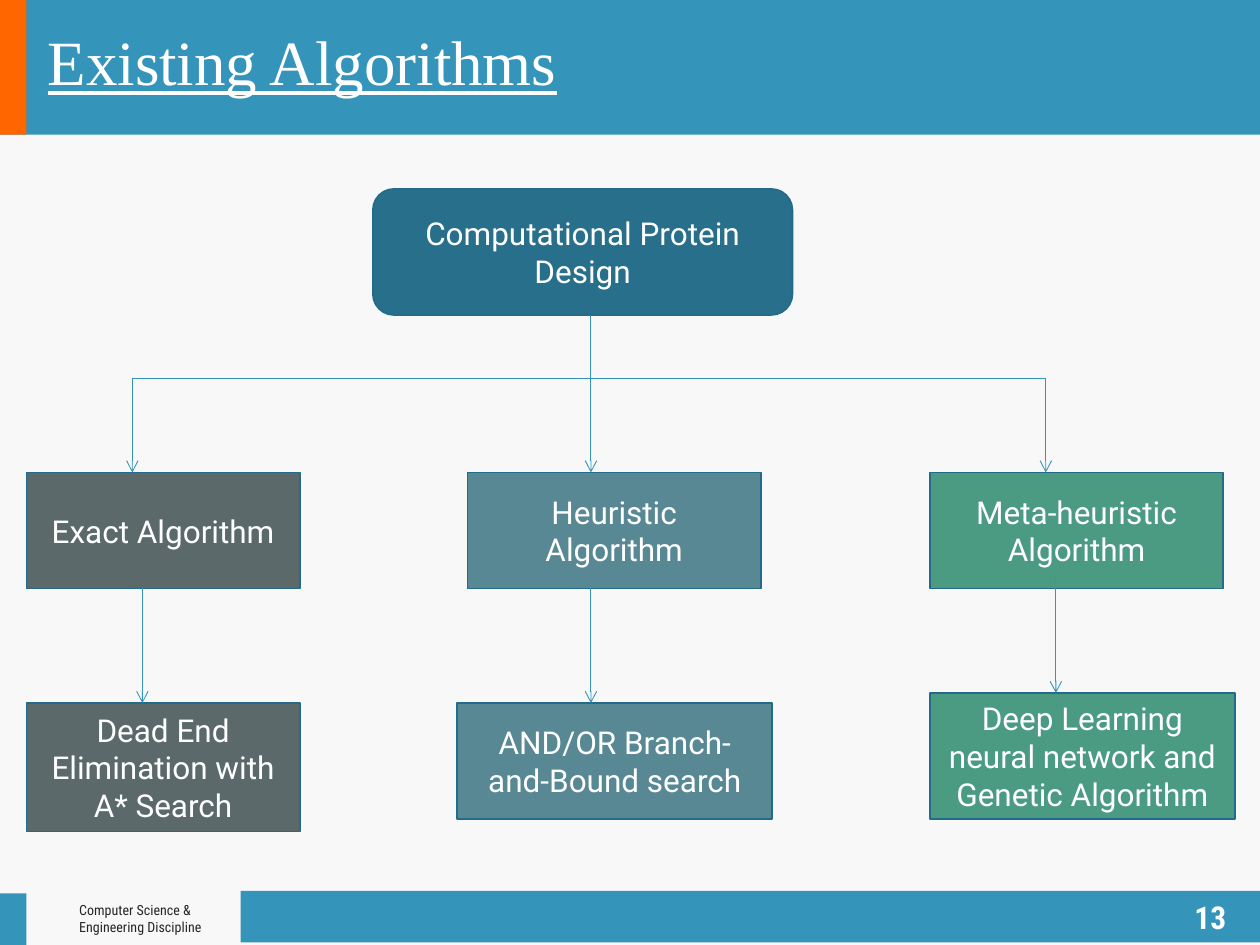
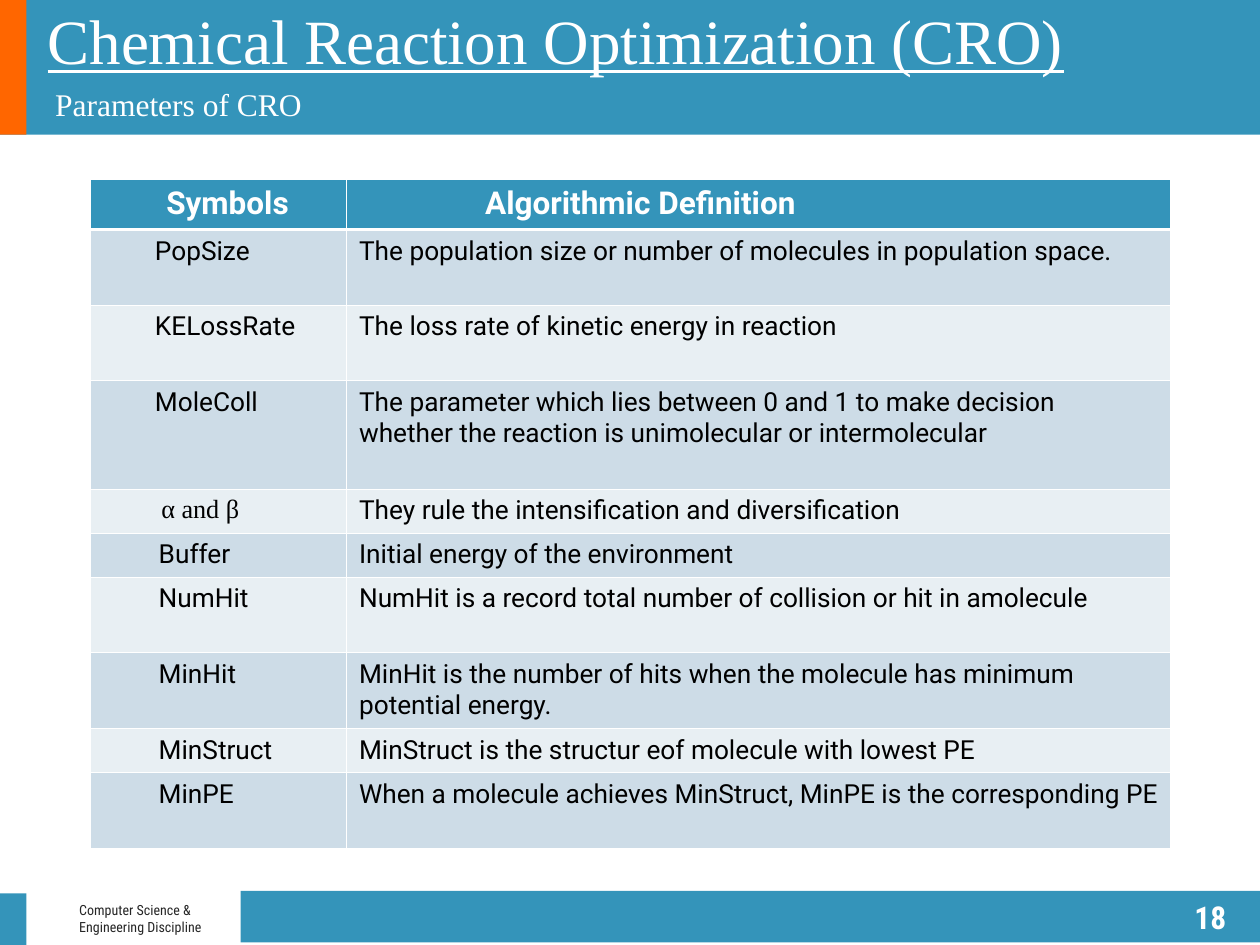
from dataclasses import dataclass

from lxml import etree
from pptx import Presentation
from pptx.dml.color import RGBColor
from pptx.enum.shapes import MSO_CONNECTOR, MSO_SHAPE
from pptx.enum.text import MSO_ANCHOR, PP_ALIGN
from pptx.oxml.ns import qn
from pptx.util import Inches, Pt


@dataclass(frozen=True)
class Theme:
    blue: str = "3494BA"
    orange: str = "FF6600"
    outline: str = "236B88"
    root: str = "276F8B"
    gray: str = "5B696B"
    slate: str = "588894"
    green: str = "4A9B82"
    row_dark: str = "CDDCE7"
    row_light: str = "E8EFF3"
    white: str = "FFFFFF"
    black: str = "000000"
    footer: str = "262626"
    body_font: str = "Roboto"
    footer_font: str = "Roboto Condensed"
    title_font: str = "Times New Roman"
    title_size: int = 36
    text_size: int = 18
    cell_size: int = 15
    footer_size: int = 8


T = Theme()


def add_run(p, text, size, font, color, bold=False, underline=False):
    r = p.add_run()
    r.text = text
    r.font.size = Pt(size)
    r.font.name = font
    r.font.bold = bold
    r.font.underline = underline
    r.font.color.rgb = RGBColor.from_string(color)


def add_box(s, place, fill=None, line=None, kind=MSO_SHAPE.RECTANGLE):
    """Add a filled shape, or a text box when no fill is given."""
    place = [Inches(v) for v in place]
    if fill:
        sp = s.shapes.add_shape(kind, *place)
        sp.shadow.inherit = False
        sp.fill.solid()
        sp.fill.fore_color.rgb = RGBColor.from_string(fill)
        if line:
            sp.line.color.rgb = RGBColor.from_string(line)
            sp.line.width = Pt(1)
        else:
            sp.line.fill.background()
    else:
        sp = s.shapes.add_textbox(*place)
    sp.text_frame.word_wrap = True
    return sp


prs = Presentation()
prs.slide_width = Inches(10)
prs.slide_height = Inches(7.5)

# Shared bands, footer, number and title
bands = [
    ((1.91, 7.07, 8.09, 0.41), T.blue),
    ((0, 7.09, 0.21, 0.41), T.blue),
    ((0, 0, 10, 1.07), T.blue),
    ((0, 0, 0.21, 1.07), T.orange),
]
pages = [
    ("13", "F8F8F8", "Existing Algorithms", (0.28, 0.2, 5.5, 0.66)),
    ("18", T.white, "Chemical Reaction Optimization (CRO)", (0.28, 0.03, 9, 0.66)),
]
slides = []
for number, background, title, title_place in pages:
    s = prs.slides.add_slide(prs.slide_layouts[6])
    s.background.fill.solid()
    s.background.fill.fore_color.rgb = RGBColor.from_string(background)
    for place, color in bands:
        add_box(s, place, color)

    p = add_box(s, (0.53, 7.11, 1.38, 0.37)).text_frame.paragraphs[0]
    add_run(p, "Computer Science & Engineering Discipline", T.footer_size, T.footer_font, T.footer)

    tf = add_box(s, (8.72, 7.09, 1.11, 0.37)).text_frame
    tf.vertical_anchor = MSO_ANCHOR.MIDDLE
    p = tf.paragraphs[0]
    p.alignment = PP_ALIGN.RIGHT
    add_run(p, number, T.text_size, T.footer_font, T.white, bold=True)

    p = add_box(s, title_place).text_frame.paragraphs[0]
    p.line_spacing = 0.9
    add_run(p, title, T.title_size, T.title_font, T.white, underline=True)
    slides.append(s)

algorithms, parameters = slides

# Algorithm tree: boxes
nodes = [
    ("Computational Protein Design", (2.96, 1.5, 3.33, 1), T.root, MSO_SHAPE.ROUNDED_RECTANGLE),
    ("Exact Algorithm", (0.21, 3.75, 2.17, 0.92), T.gray, MSO_SHAPE.RECTANGLE),
    ("Heuristic Algorithm", (3.71, 3.75, 2.33, 0.92), T.slate, MSO_SHAPE.RECTANGLE),
    ("Meta-heuristic Algorithm", (7.38, 3.75, 2.33, 0.92), T.green, MSO_SHAPE.RECTANGLE),
    ("Dead End Elimination with A* Search", (0.21, 5.58, 2.17, 1.02), T.gray, MSO_SHAPE.RECTANGLE),
    ("AND/OR Branch-and-Bound search", (3.63, 5.58, 2.5, 0.92), T.slate, MSO_SHAPE.RECTANGLE),
    ("Deep Learning neural network and Genetic Algorithm", (7.38, 5.5, 2.42, 1), T.green,
     MSO_SHAPE.RECTANGLE),
]
for text, place, color, kind in nodes:
    tf = add_box(algorithms, place, color, T.outline, kind).text_frame
    tf.vertical_anchor = MSO_ANCHOR.MIDDLE
    p = tf.paragraphs[0]
    p.alignment = PP_ALIGN.CENTER
    add_run(p, text, T.text_size, T.body_font, T.white)

# Algorithm tree: crossbar and arrows
links = [
    (1.05, 3, 8.3, 3, False),
    (4.69, 2.5, 4.69, 3.75, True),
    (1.05, 3, 1.05, 3.75, True),
    (8.3, 3, 8.3, 3.75, True),
    (1.13, 4.67, 1.13, 5.58, True),
    (4.69, 4.67, 4.69, 5.58, True),
    (8.38, 4.58, 8.38, 5.5, True),
]
for *ends, arrow in links:
    link = algorithms.shapes.add_connector(MSO_CONNECTOR.STRAIGHT, *[Inches(v) for v in ends])
    link.line.color.rgb = RGBColor.from_string(T.blue)
    link.line.width = Pt(0.5)
    if arrow:
        etree.SubElement(link.line._get_or_add_ln(), qn("a:tailEnd"), type="arrow")
    etree.SubElement(link._element.spPr, qn("a:effectLst"))

# Parameters: subtitle
p = add_box(parameters, (0.34, 0.66, 4.16, 0.35)).text_frame.paragraphs[0]
p.line_spacing = 0.9
add_run(p, "Parameters of CRO", T.text_size, T.title_font, T.white)

# Parameters: table rows as symbol, symbol indent, definition lines, height
rows = [
    ("Symbols", 0.6, ["Algorithmic Definition"], 0.4),
    ("PopSize", 0.51, ["The population size or number of molecules in population space."], 0.6),
    ("KELossRate", 0.51, ["The loss rate of kinetic energy in reaction"], 0.6),
    ("MoleColl", 0.51, ["The parameter which lies between 0 and 1 to make decision",
                        "whether the reaction is unimolecular or intermolecular"], 0.86),
    ("α and β", 0.56, ["They rule the intensification and diversification"], 0.35),
    ("Buffer", 0.54, ["Initial energy of the environment"], 0.35),
    ("NumHit", 0.54, ["NumHit is a record total number of collision or hit in amolecule"], 0.6),
    ("MinHit", 0.54, ["MinHit is the number of hits when the molecule has minimum potential energy."], 0.6),
    ("MinStruct", 0.54, ["MinStruct is the structur eof molecule with lowest PE"], 0.35),
    ("MinPE", 0.54, ["When a molecule achieves MinStruct, MinPE is the corresponding PE"], 0.6),
]
col_widths = [2.03, 6.54]
frame = parameters.shapes.add_table(len(rows), 2, Inches(0.72), Inches(1.42),
                                    Inches(sum(col_widths)), Inches(sum(row[3] for row in rows)))
table = frame.table
table.horz_banding = False
for column, width in zip(table.columns, col_widths):
    column.width = Inches(width)

for i, (symbol, indent, definition, height) in enumerate(rows):
    table.rows[i].height = Inches(height)
    header = i == 0
    fill = T.blue if header else T.row_dark if i % 2 else T.row_light
    size = T.text_size if header else T.cell_size
    color = T.white if header else T.black
    margins = (indent, 1.1 if header else 0.1)
    for j, lines in enumerate(([symbol], definition)):
        cell = table.cell(i, j)
        cell.fill.solid()
        cell.fill.fore_color.rgb = RGBColor.from_string(fill)
        cell.margin_left = Inches(margins[j])
        cell.margin_right = Inches(0.08)
        font = T.title_font if symbol == "α and β" and j == 0 else T.body_font
        p = cell.text_frame.paragraphs[0]
        for k, text in enumerate(lines):
            if k:
                p.add_line_break()
            add_run(p, text, size, font, color, bold=header)

        # White borders, heavier under the header
        widths = {"lnL": 0.45, "lnR": 0.45, "lnT": 1.47 if i == 1 else 0.45,
                  "lnB": 1.47 if header else 0.45}
        tc_pr = cell._tc.get_or_add_tcPr()
        for k, (side, width) in enumerate(widths.items()):
            ln = etree.Element(qn(f"a:{side}"), w=str(Pt(width)))
            solid = etree.SubElement(ln, qn("a:solidFill"))
            etree.SubElement(solid, qn("a:srgbClr"), val=T.white)
            tc_pr.insert(k, ln)

prs.save("out.pptx")
